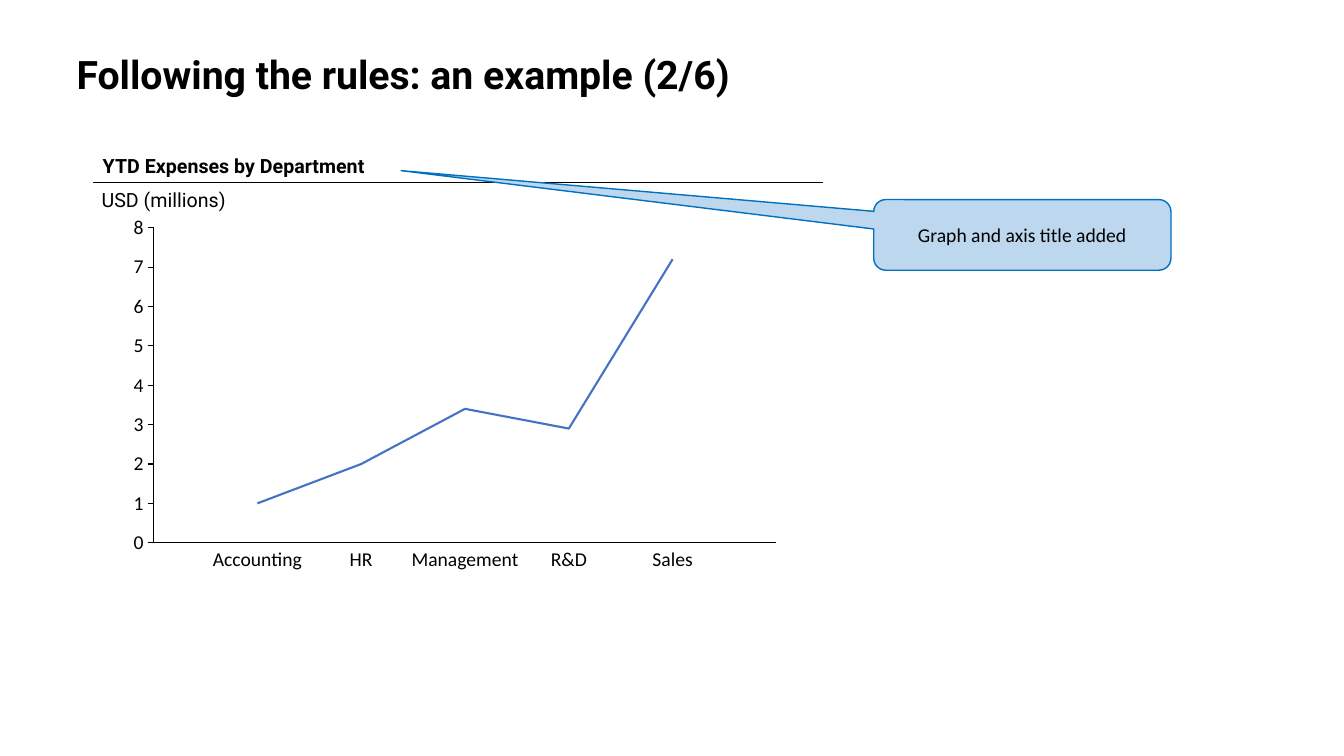
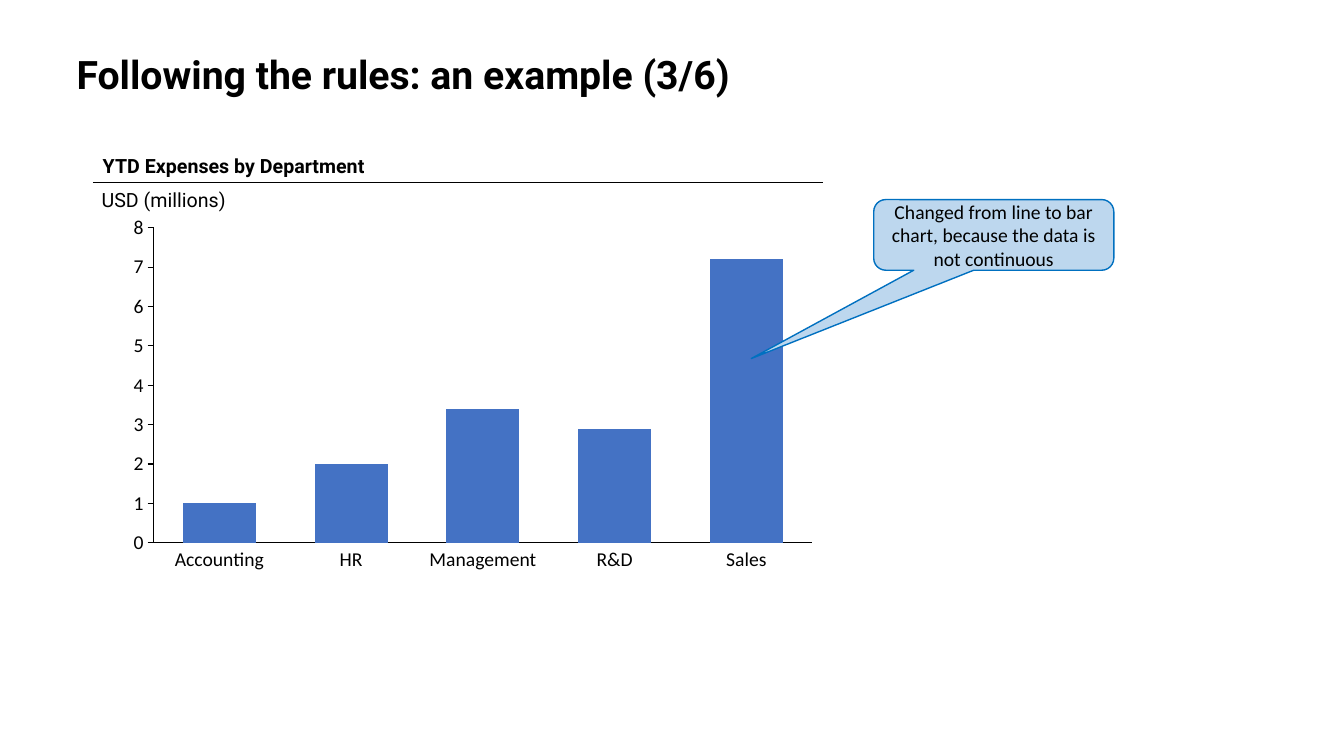
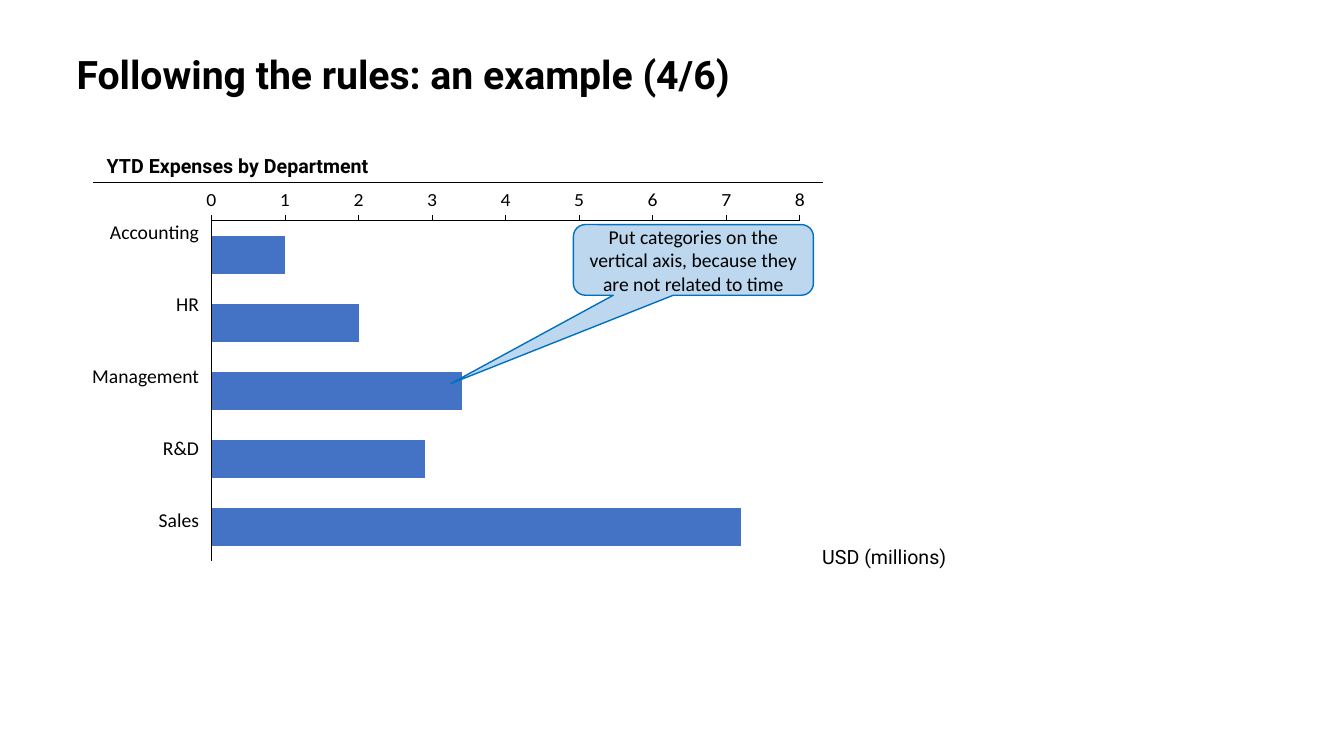
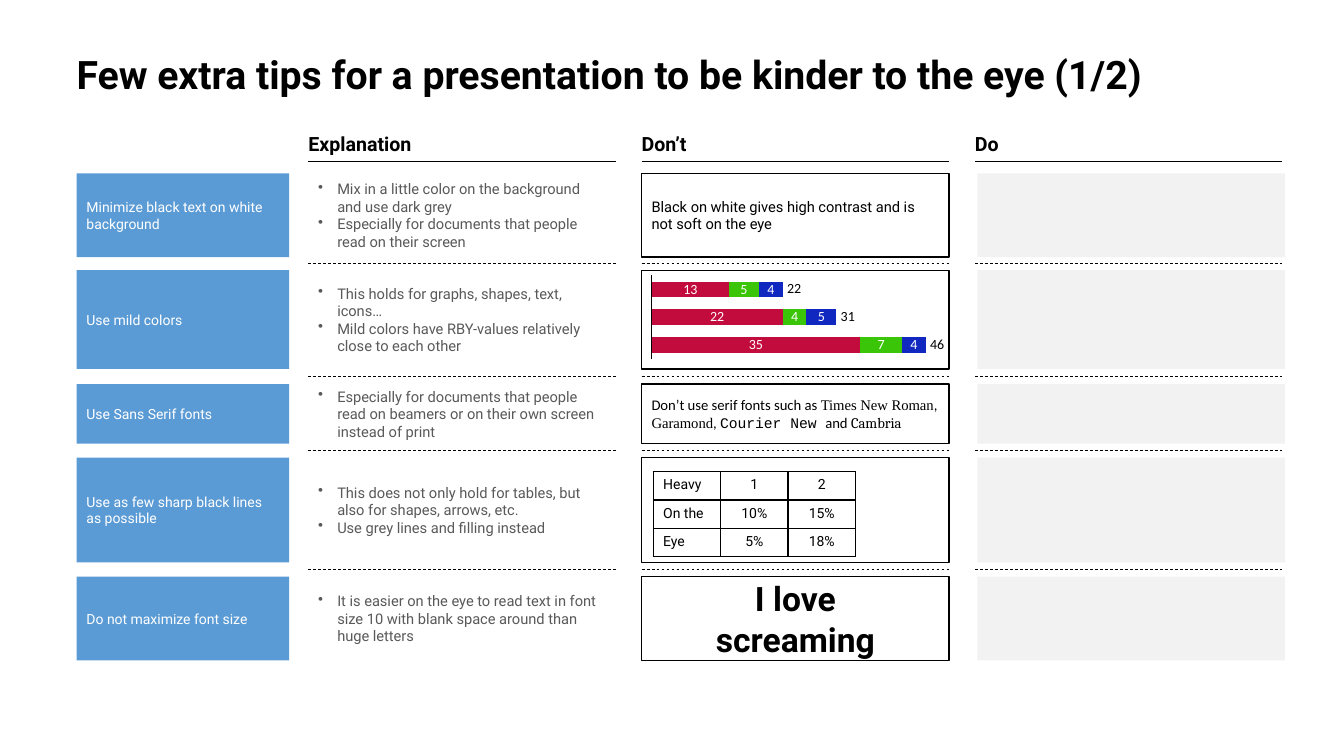
from dataclasses import dataclass

from pptx import Presentation
from pptx.chart.data import CategoryChartData
from pptx.dml.color import RGBColor
from pptx.enum.chart import XL_AXIS_CROSSES as Crosses, XL_CHART_TYPE as ChartType
from pptx.enum.chart import XL_MARKER_STYLE as Marker, XL_TICK_LABEL_POSITION as TickLabel
from pptx.enum.chart import XL_TICK_MARK as Tick
from pptx.enum.dml import MSO_LINE as Dash
from pptx.enum.shapes import MSO_CONNECTOR as Connector, MSO_SHAPE as Shape
from pptx.enum.text import MSO_ANCHOR as Anchor, PP_ALIGN as Align
from pptx.oxml.ns import qn
from pptx.oxml.xmlchemy import OxmlElement
from pptx.util import Cm, Pt


@dataclass(frozen=True)
class Theme:
    # Colours
    black: str = "000000"
    white: str = "FFFFFF"
    grey_text: str = "595959"
    placeholder: str = "F2F2F2"
    label: str = "5B9BD5"
    callout: str = "BDD7EE"
    callout_edge: str = "0070C0"
    series: str = "4472C4"
    harsh: tuple = ("C30C3E", "3BC509", "1028BF")
    # Fonts and type sizes
    font: str = "Roboto"
    chart_font: str = "Calibri"
    title: float = 28
    shout: float = 24
    heading: float = 14
    body: float = 10.5
    small: float = 10


THEME = Theme()
INSETS = (0.25, 0.13, 0.25, 0.13)
FLUSH_LEFT = (0, 0.13, 0.25, 0.13)
NO_INSETS = (0, 0, 0, 0)


def rgb(value):
    return RGBColor.from_string(value)


def make(tag, **attributes):
    element = OxmlElement(tag)
    for name, value in attributes.items():
        element.set(name, str(value))
    return element


def write(frame, text, *, size=THEME.body, font=THEME.font, color=THEME.black, bold=False,
          align=Align.LEFT, spacing=None, bullet=False):
    """Text is a string or a list of paragraphs; a paragraph may be a list of (text, font)."""
    for i, content in enumerate([text] if isinstance(text, str) else text):
        paragraph = frame.add_paragraph() if i else frame.paragraphs[0]
        paragraph.alignment = align
        if spacing:
            paragraph.line_spacing = spacing
        if bullet:
            properties = paragraph._p.get_or_add_pPr()
            properties.set("marL", str(Cm(0.48)))
            properties.set("indent", str(Cm(-0.48)))
            properties.append(make("a:buChar", char="•"))
        for words, face in [(content, font)] if isinstance(content, str) else content:
            run = paragraph.add_run()
            run.text = words
            run.font.name = face
            run.font.size = Pt(size)
            run.font.bold = bold
            run.font.color.rgb = rgb(color)


class Deck:
    def __init__(self, theme):
        self.theme = theme
        self.file = Presentation()
        self.file.slide_width, self.file.slide_height = Cm(33.87), Cm(19.05)
        self.slide = None

    def new_slide(self, title):
        self.slide = self.file.slides.add_slide(self.file.slide_layouts[6])
        self.text(title, 1.93, 0.76, 30.43, 1.83, insets=FLUSH_LEFT, anchor=Anchor.BOTTOM,
                  size=self.theme.title, bold=True, spacing=0.9)

    def fill_frame(self, frame, text, insets, anchor, wrap, style):
        frame.word_wrap = wrap
        frame.vertical_anchor = anchor
        (frame.margin_left, frame.margin_top,
         frame.margin_right, frame.margin_bottom) = map(Cm, insets)
        write(frame, text, **style)

    def text(self, text, left, top, width, height, insets=INSETS, anchor=Anchor.TOP,
             wrap=True, **style):
        area = self.slide.shapes.add_textbox(Cm(left), Cm(top), Cm(width), Cm(height))
        self.fill_frame(area.text_frame, text, insets, anchor, wrap, style)

    def box(self, left, top, width, height, fill, text=None, kind=Shape.RECTANGLE,
            edge=None, adjust=(), **style):
        box = self.slide.shapes.add_shape(kind, Cm(left), Cm(top), Cm(width), Cm(height))
        box.shadow.inherit = False
        box.fill.solid()
        box.fill.fore_color.rgb = rgb(fill)
        if edge:
            box.line.color.rgb = rgb(edge)
            box.line.width = Pt(1)
        else:
            box.line.fill.background()
        for i, value in enumerate(adjust):
            box.adjustments[i] = value
        if text:
            self.fill_frame(box.text_frame, text, INSETS, Anchor.MIDDLE, True, style)

    def callout(self, text, left, top, width, pointer):
        self.box(left, top, width, 1.78, self.theme.callout, text,
                 kind=Shape.ROUNDED_RECTANGULAR_CALLOUT, edge=self.theme.callout_edge,
                 adjust=(*pointer, 0.17), size=self.theme.heading,
                 font=self.theme.chart_font, align=Align.CENTER)

    def rule(self, left, top, width, dash=None):
        rule = self.slide.shapes.add_connector(
            Connector.STRAIGHT, Cm(left), Cm(top), Cm(left + width), Cm(top))
        rule.line.color.rgb = rgb(self.theme.black)
        rule.line.width = Pt(0.5)
        if dash:
            rule.line.dash_style = dash
        rule._element.spPr.append(make("a:effectLst"))

    def chart(self, kind, series, colors, plot_area, margins, top_value, show_scale=True):
        """Plot area is left, top, width, height; margins run left, top, right, bottom."""
        left, top, width, height = plot_area
        before, above, after, below = margins
        frame_width, frame_height = before + width + after, above + height + below
        data = CategoryChartData(number_format="0")
        data.categories = [str(n + 1) for n in range(len(series[0]))]
        for n, values in enumerate(series, 1):
            data.add_series(f"Series {n}", values)
        chart = self.slide.shapes.add_chart(
            kind, Cm(left - before), Cm(top - above), Cm(frame_width), Cm(frame_height),
            data).chart
        chart.has_title = chart.has_legend = False
        chart.font.name = self.theme.chart_font
        chart.font.size = Pt(self.theme.small)
        chart.font.color.rgb = rgb(self.theme.black)
        self.place_plot(chart, before / frame_width, above / frame_height,
                        width / frame_width, height / frame_height)
        self.style_axes(chart, kind, top_value, show_scale)
        self.style_series(chart.plots[0], kind, colors)
        return chart

    def place_plot(self, chart, x, y, w, h):
        area = chart._chartSpace.chart.plotArea
        for old in area.findall(qn("c:layout")):
            area.remove(old)
        layout, manual = make("c:layout"), make("c:manualLayout")
        settings = dict(layoutTarget="inner", xMode="edge", yMode="edge", x=x, y=y, w=w, h=h)
        for name, value in settings.items():
            manual.append(make(f"c:{name}", val=value))
        layout.append(manual)
        area.insert(0, layout)

    def style_axes(self, chart, kind, top_value, show_scale):
        names, scale = chart.category_axis, chart.value_axis
        for axis in (names, scale):
            axis.has_major_gridlines = False
            axis.major_tick_mark = axis.minor_tick_mark = Tick.NONE
            axis.format.line.color.rgb = rgb(self.theme.black)
            axis.format.line.width = Pt(0.75)
        names.tick_label_position = TickLabel.NONE
        scale.minimum_scale, scale.maximum_scale = 0, top_value
        if show_scale:
            scale.major_unit = 1
            scale.major_tick_mark = Tick.OUTSIDE
            scale.tick_labels.number_format = "0"
            scale.tick_labels.number_format_is_linked = False
            scale.tick_labels.font.size = Pt(self.theme.heading)
        else:
            scale.tick_label_position = TickLabel.NONE
            scale.format.line.fill.background()
        if kind == ChartType.BAR_STACKED:
            names.reverse_order = True
            names.crosses = Crosses.MAXIMUM
        # Lines start on the axis, bars stand between the ticks
        for old in scale._element.findall(qn("c:crossBetween")):
            scale._element.remove(old)
        position = "midCat" if kind == ChartType.LINE else "between"
        scale._element.find(qn("c:crosses")).addnext(make("c:crossBetween", val=position))

    def style_series(self, plot, kind, colors):
        plot.vary_by_categories = False
        if kind != ChartType.LINE:
            plot.gap_width, plot.overlap = 80, 100
        for series, color in zip(plot.series, colors):
            if kind == ChartType.LINE:
                series.smooth = False
                series.marker.style = Marker.NONE
                series.format.line.color.rgb = rgb(color)
                series.format.line.width = Pt(1.5)
            else:
                series.format.fill.solid()
                series.format.fill.fore_color.rgb = rgb(color)

    def table(self, rows, left, top, column, row):
        grid = self.slide.shapes.add_table(
            len(rows), len(rows[0]), Cm(left), Cm(top),
            Cm(column * len(rows[0])), Cm(row * len(rows))).table
        grid.first_row = grid.horz_banding = False
        for line in grid.columns:
            line.width = Cm(column)
        for r, values in enumerate(rows):
            grid.rows[r].height = Cm(row)
            for c, value in enumerate(values):
                cell = grid.cell(r, c)
                write(cell.text_frame, value, size=self.theme.small,
                      align=Align.CENTER if c else Align.LEFT)
                self.border(cell)
                cell.fill.solid()
                cell.fill.fore_color.rgb = rgb(self.theme.white)

    def border(self, cell):
        properties = cell._tc.get_or_add_tcPr()
        for side in "LRTB":
            edge, fill = make(f"a:ln{side}", w=Pt(1)), make("a:solidFill")
            fill.append(make("a:srgbClr", val=self.theme.black))
            edge.append(fill)
            properties.append(edge)


# Department, expenses in USD millions, width of its label
DEPARTMENTS = [("Accounting", 1, 2.29), ("HR", 2, 0.61), ("Management", 3.4, 2.74),
               ("R&D", 2.9, 0.94), ("Sales", 7.2, 1.04)]
EXPENSES = [amount for _, amount, _ in DEPARTMENTS]
LABEL_HEIGHT = 0.53


def expenses_slide(deck, step, kind, plot_area, margins, heading_left, unit_at):
    theme = deck.theme
    deck.new_slide(f"Following the rules: an example ({step}/6)")
    is_line = kind == ChartType.LINE
    values = [None, *EXPENSES, None] if is_line else EXPENSES
    deck.chart(kind, [values], [theme.series], plot_area, margins, 8)

    # Department labels along the category axis
    left, top, width, height = plot_area
    for i, (name, _, label_width) in enumerate(DEPARTMENTS):
        share = (i + 1) / 6 if is_line else (i + 0.5) / 5
        if kind == ChartType.BAR_STACKED:
            x = left - 0.31 - label_width
            y = top + height * share - LABEL_HEIGHT / 2
            align, anchor = Align.RIGHT, Anchor.MIDDLE
        else:
            x = left + width * share - label_width / 2
            y = top + height + 0.16
            align, anchor = Align.CENTER, Anchor.TOP
        deck.text(name, x, y, label_width, LABEL_HEIGHT, insets=NO_INSETS, anchor=anchor,
                  wrap=False, size=theme.heading, font=theme.chart_font, align=align,
                  spacing=0.9)

    # Chart heading and unit
    deck.rule(2.34, 4.6, 18.41)
    deck.text("YTD Expenses by Department", heading_left, 3.76, 9, 0.86,
              size=theme.heading, bold=True)
    deck.text("USD (millions)", *unit_at, 4.5, 0.86, size=theme.heading)


# Rows of the tips slide: top, height, label, explanation
TIPS = [
    (4.37, 2.11, "Minimize black text on white background",
     ["Mix in a little color on the background and use dark grey",
      "Especially for documents that people read on their screen"]),
    (6.81, 2.49, "Use mild colors",
     ["This holds for graphs, shapes, text, icons…",
      "Mild colors have RBY-values relatively close to each other"]),
    (9.68, 1.5, "Use Sans Serif fonts",
     ["Especially for documents that people read on beamers or on their own screen "
      "instead of print"]),
    (11.53, 2.64, "Use as few sharp black lines as possible",
     ["This does not only hold for tables, but also for shapes, arrows, etc.",
      "Use grey lines and filling instead"]),
    (14.53, 2.11, "Do not maximize font size",
     ["It is easier on the eye to read text in font size 10 with blank space around "
      "than huge letters"]),
]
SERIF_SAMPLE = [[("Don’t use serif fonts such as ", "Calibri"),
                 ("Times New Roman", "Times New Roman"), (", ", "Calibri"),
                 ("Garamond", "Times New Roman"), (", ", "Calibri"),
                 ("Courier New ", "Courier New"), ("and ", "Calibri"),
                 ("Cambria", "Cambria")]]
HARSH_VALUES = [(13, 22, 35), (5, 4, 7), (4, 5, 4)]
HEAVY_TABLE = [("Heavy", "1", "2"), ("On the", "10%", "15%"), ("Eye", "5%", "18%")]


def harsh_chart(deck):
    theme = deck.theme
    totals = [sum(row) for row in zip(*HARSH_VALUES)]
    left, top, width, height = plot_area = (16.42, 6.94, 6.91, 2.11)
    chart = deck.chart(ChartType.BAR_STACKED, HARSH_VALUES, theme.harsh, plot_area,
                       (0.23, 0.23, 0.23, 0.23), max(totals), show_scale=False)
    plot = chart.plots[0]
    plot.has_data_labels = True
    labels = plot.data_labels
    labels.show_value = True
    labels.font.size = Pt(theme.small)
    labels.font.color.rgb = rgb(theme.white)
    for i, total in enumerate(totals):
        deck.text(str(total), left + width * total / max(totals) + 0.06,
                  top + height * (i + 0.5) / len(totals) - 0.19, 0.46, 0.38,
                  insets=(0.05, 0, 0.05, 0), anchor=Anchor.MIDDLE, wrap=False,
                  size=theme.small, font=theme.chart_font, spacing=0.9)


def tips_slide(deck):
    theme = deck.theme
    deck.new_slide("Few extra tips for a presentation to be kinder to the eye (1/2)")
    width = 7.75
    columns = [7.77 + 8.4 * i for i in range(3)]
    explanation, dont, do = columns

    # Column headings
    for left, heading in zip(columns, ("Explanation", "Don’t", "Do")):
        deck.text(heading, left, 3.2, 6.83, 0.86, insets=FLUSH_LEFT, size=theme.heading,
                  bold=True)
        deck.rule(left, 4.06, width)

    # Rows, each with its bad example
    examples = [
        ("Black on white gives high contrast and is not soft on the eye", {}),
        (None, {}),
        (SERIF_SAMPLE, {}),
        (None, {}),
        (["I love", "screaming"], dict(size=theme.shout, bold=True, align=Align.CENTER)),
    ]
    for (top, height, label, points), (example, style) in zip(TIPS, examples):
        deck.box(1.93, top, 5.36, height, theme.label, label, size=theme.small,
                 color=theme.white)
        deck.text(points, explanation, top, width, height, anchor=Anchor.MIDDLE,
                  color=theme.grey_text, bullet=True)
        deck.box(dont, top, width, height, theme.white, example, edge=theme.black, **style)
        deck.box(do + 0.06, top, width, height, theme.placeholder)
    harsh_chart(deck)
    deck.table(HEAVY_TABLE, 16.46, 11.89, 1.7, 0.71)

    # Dashed separators halfway between the rows
    for (top, height, *_), (next_top, *_) in zip(TIPS, TIPS[1:]):
        for left in columns:
            deck.rule(left, (top + height + next_top) / 2, width, Dash.DASH)


def main():
    deck = Deck(THEME)
    upright = (0.87, 0.36, 0.22, 0.36)
    above_axis = (2.31, 4.6)

    expenses_slide(deck, 2, ChartType.LINE, (3.87, 5.74, 15.7, 7.94), upright, 2.34,
                   above_axis)
    deck.callout("Graph and axis title added", 22.02, 5.03, 7.49, (-2.09, -0.91))

    expenses_slide(deck, 3, ChartType.COLUMN_STACKED, (3.87, 5.74, 16.6, 7.94), upright,
                   2.34, above_axis)
    deck.callout("Changed from line to bar chart, because the data is not continuous",
                 22.02, 5.03, 6.05, (-1.01, 1.75))

    expenses_slide(deck, 4, ChartType.BAR_STACKED, (5.33, 4.97, 14.83, 9.08),
                   (0.68, 0.22, 0.7, 1.42), 2.44, (20.47, 13.61))
    deck.callout("Put categories on the vertical axis, because they are not related to time",
                 14.45, 5.66, 6.05, (-1.01, 1.75))

    tips_slide(deck)
    deck.file.save("out.pptx")


if __name__ == "__main__":
    main()
